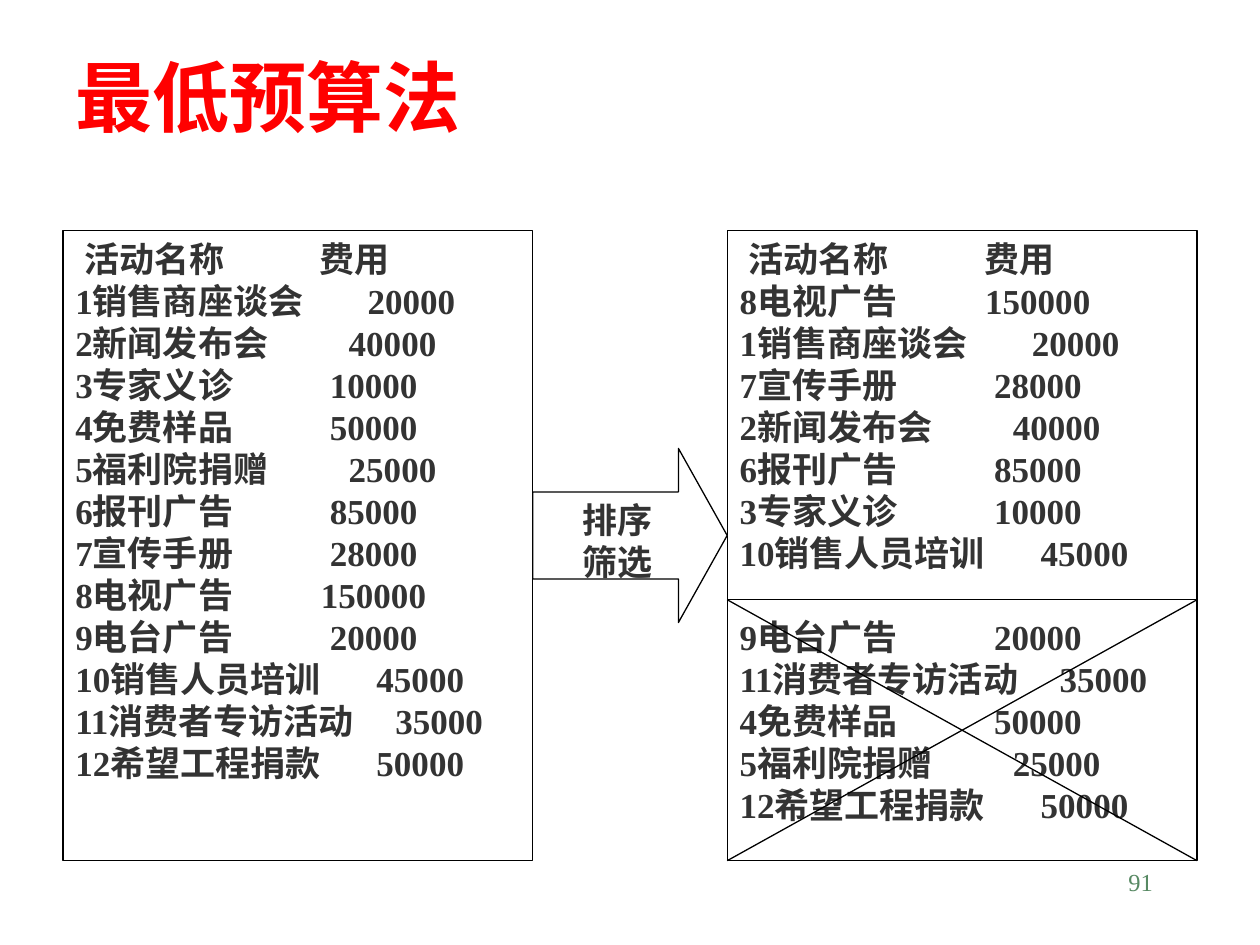
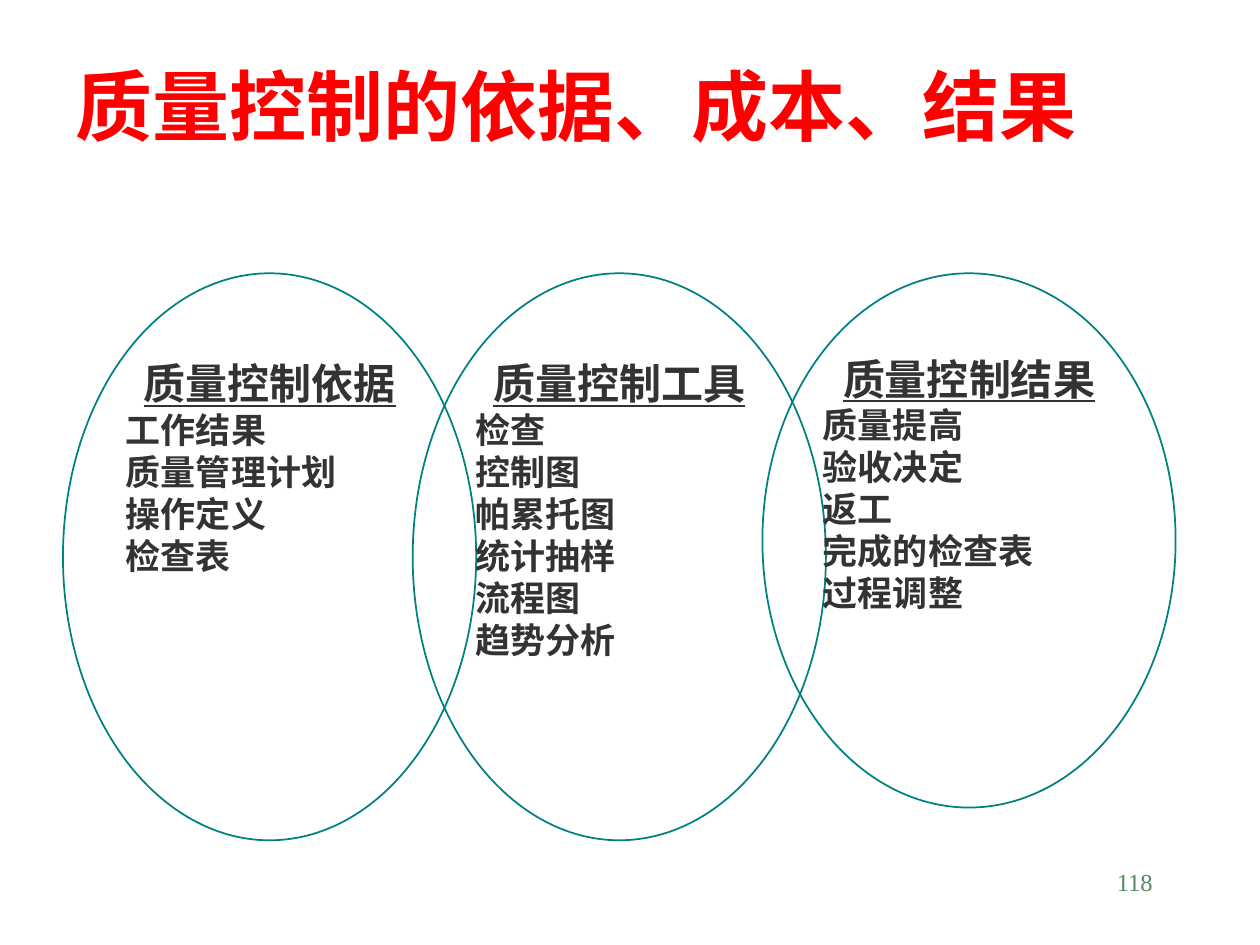
"""Build two slides: a minimum budget ranking and a quality control overview."""
from dataclasses import dataclass

from lxml import etree
from pptx import Presentation
from pptx import util as u
from pptx.dml.color import RGBColor
from pptx.enum import shapes, text
from pptx.oxml import ns


@dataclass(frozen=True)
class Theme:
    """Colours, fonts and type sizes of both slides."""
    title: str = "FF0000"
    body: str = "333333"
    number: str = "578963"
    outline: str = "000000"
    ring: str = "008080"
    paper: str = "FFFFFF"
    latin: str = "Times New Roman"
    chinese: str = "Noto Sans CJK SC"
    title_size: int = 44
    heading_size: int = 24
    body_size: int = 20
    number_size: int = 14
    leading: float = 1.2
    outline_width: float = 0.75
    ring_width: float = 1


@dataclass(frozen=True)
class Box:
    """A rectangle measured in centimetres."""
    left: float
    top: float
    width: float
    height: float

    @property
    def right(self) -> float:
        """Return the right edge."""
        return self.left + self.width

    @property
    def bottom(self) -> float:
        """Return the bottom edge."""
        return self.top + self.height

    def lengths(self) -> tuple:
        """Return position and size as slide lengths."""
        return tuple(u.Cm(value) for value in (self.left, self.top, self.width, self.height))


@dataclass(frozen=True)
class Line:
    """One paragraph with its format."""
    wording: str
    size: int
    color: str
    align: text.PP_ALIGN = text.PP_ALIGN.JUSTIFY
    bold: bool = True
    underline: bool = False
    tab: float = 0
    indent: float = 0
    before: float = 0


@dataclass(frozen=True)
class Activity:
    """A numbered activity and its cost."""
    name: str
    cost: int


@dataclass(frozen=True)
class Topic:
    """An ellipse with a heading and its items."""
    heading: str
    items: tuple
    height: float
    side_inset: float = 0.05


THEME = Theme()
STANDARD_INSETS = (0.25, 0.13)
TEXT_LEFT = 1.27

ACTIVITIES = dict(enumerate((
    Activity("销售商座谈会", 20000),
    Activity("新闻发布会", 40000),
    Activity("专家义诊", 10000),
    Activity("免费样品", 50000),
    Activity("福利院捐赠", 25000),
    Activity("报刊广告", 85000),
    Activity("宣传手册", 28000),
    Activity("电视广告", 150000),
    Activity("电台广告", 20000),
    Activity("销售人员培训", 45000),
    Activity("消费者专访活动", 35000),
    Activity("希望工程捐款", 50000),
), start=1))
KEPT = (8, 1, 7, 2, 6, 3, 10)
REJECTED = (9, 11, 4, 5, 12)

TOPICS = (
    Topic("质量控制依据", ("工作结果", "质量管理计划", "操作定义", "检查表"), 11.43),
    Topic("质量控制工具", ("检查", "控制图", "帕累托图", "统计抽样", "流程图", "趋势分析"), 11.43),
    Topic("质量控制结果", ("质量提高", "验收决定", "返工", "完成的检查表", "过程调整"), 10.77, 0),
)


def write_lines(shape, lines: list[Line], insets: tuple = STANDARD_INSETS,
                anchor: text.MSO_ANCHOR = text.MSO_ANCHOR.TOP) -> None:
    """Fill a shape with formatted paragraphs."""
    frame = shape.text_frame
    frame.word_wrap = True
    frame.vertical_anchor = anchor
    frame.margin_left = frame.margin_right = u.Cm(insets[0])
    frame.margin_top = frame.margin_bottom = u.Cm(insets[1])
    frame.text = "\n".join(line.wording for line in lines)
    for paragraph, line in zip(frame.paragraphs, lines):
        properties = paragraph._p.get_or_add_pPr()
        if line.indent:
            properties.set("marL", str(u.Cm(line.indent)))
        if line.tab:
            tabs = etree.SubElement(properties, ns.qn("a:tabLst"))
            etree.SubElement(tabs, ns.qn("a:tab"), pos=str(u.Cm(line.tab)), algn="l")
        paragraph.alignment = line.align
        paragraph.line_spacing = u.Pt(line.size * THEME.leading)
        if line.before:
            paragraph.space_before = u.Pt(line.before)
        for run in paragraph.runs:
            font = run.font
            font.size, font.bold, font.underline = u.Pt(line.size), line.bold, line.underline
            font.color.rgb = RGBColor.from_string(line.color)
            font.name = THEME.latin
            etree.SubElement(run._r.get_or_add_rPr(), ns.qn("a:ea"), typeface=THEME.chinese)


def add_outlined(slide, kind: shapes.MSO_SHAPE, box: Box, color: str, width: float,
                 filled: bool = True):
    """Add an outlined preset shape without shadow."""
    shape = slide.shapes.add_shape(kind, *box.lengths())
    shape.shadow.inherit = False
    if filled:
        shape.fill.solid()
        shape.fill.fore_color.rgb = RGBColor.from_string(THEME.paper)
    else:
        shape.fill.background()
    shape.line.color.rgb = RGBColor.from_string(color)
    shape.line.width = u.Pt(width)
    return shape


def add_rule(slide, start: tuple, end: tuple) -> None:
    """Draw a thin straight line between two points."""
    rule = slide.shapes.add_connector(shapes.MSO_CONNECTOR.STRAIGHT,
                                      *(u.Cm(value) for value in start + end))
    rule.line.color.rgb = RGBColor.from_string(THEME.outline)
    rule.line.width = u.Pt(THEME.outline_width)
    etree.SubElement(rule._element.spPr, ns.qn("a:effectLst"))


def add_frame(slide, title: str, title_top: float, number: int) -> None:
    """Add the title and the slide number."""
    heading = slide.shapes.add_textbox(*Box(TEXT_LEFT, title_top, 23.29, 1.7).lengths())
    write_lines(heading, [Line(title, THEME.title_size, THEME.title, text.PP_ALIGN.LEFT)],
                anchor=text.MSO_ANCHOR.MIDDLE)
    footer = slide.shapes.add_textbox(*Box(18.21, 17.35, 5.28, 1.27).lengths())
    write_lines(footer, [Line(str(number), THEME.number_size, THEME.number,
                              text.PP_ALIGN.RIGHT, bold=False)])


def activity_line(number: int, before: float = 0) -> Line:
    """Return an activity row whose cost follows the length of its name."""
    activity = ACTIVITIES[number]
    extra_digits = len(str(number)) - len(str(activity.cost)) + 4
    tab = 5.13 + 0.38 * (len(activity.name) - 4) + 0.18 * extra_digits
    return Line(f"{number}{activity.name}\t{activity.cost}", THEME.body_size, THEME.body,
                tab=tab, before=before)


def add_activity_list(slide, box: Box, rows: list[Line]) -> None:
    """Draw a framed list of activities under its column heads."""
    head = Line("活动名称\t费用", THEME.body_size, THEME.body, tab=4.75, indent=0.18)
    panel = add_outlined(slide, shapes.MSO_SHAPE.RECTANGLE, box,
                         THEME.outline, THEME.outline_width)
    write_lines(panel, [head, *rows])


def build_budget(slide) -> None:
    """Draw the full list, the sorting arrow and the ranked list."""
    full = Box(TEXT_LEFT, 4.65, 9.47, 12.7)
    ranked = Box(14.66, full.top, full.width, full.height)
    add_activity_list(slide, full, [activity_line(number) for number in ACTIVITIES])
    blank_line = THEME.body_size * THEME.leading
    rejected = [activity_line(number, blank_line if number == REJECTED[0] else 0)
                for number in REJECTED]
    add_activity_list(slide, ranked, [activity_line(number) for number in KEPT] + rejected)

    cut = 12.09
    add_rule(slide, (ranked.left, cut), (ranked.right, cut))
    add_rule(slide, (ranked.left, cut), (ranked.right, ranked.bottom))
    add_rule(slide, (ranked.right, cut), (ranked.left, ranked.bottom))

    arrow = add_outlined(slide, shapes.MSO_SHAPE.RIGHT_ARROW,
                         Box(full.right, 9.04, ranked.left - full.right, 3.51),
                         THEME.outline, THEME.outline_width)
    arrow.adjustments[1] = 0.28
    write_lines(arrow, [Line(step, THEME.body_size, THEME.body, text.PP_ALIGN.CENTER)
                        for step in ("排序", "筛选")])
    add_frame(slide, "最低预算法", 1.07, 91)


def build_quality(slide) -> None:
    """Draw the three overlapping quality control ellipses."""
    for index, topic in enumerate(TOPICS):
        ellipse = add_outlined(slide, shapes.MSO_SHAPE.OVAL,
                               Box(TEXT_LEFT + index * 7.05, 5.51, 8.33, topic.height),
                               THEME.ring, THEME.ring_width, filled=False)
        heading = Line(topic.heading, THEME.heading_size, THEME.body,
                       text.PP_ALIGN.CENTER, underline=True)
        items = [Line(item, THEME.body_size, THEME.body) for item in topic.items]
        write_lines(ellipse, [heading, *items], (topic.side_inset, 0.03))
    add_frame(slide, "质量控制的依据、成本、结果", 1.27, 118)


def main() -> None:
    """Build and save the presentation."""
    presentation = Presentation()
    presentation.slide_width, presentation.slide_height = u.Cm(25.4), u.Cm(19.05)
    for build in (build_budget, build_quality):
        build(presentation.slides.add_slide(presentation.slide_layouts[6]))
    presentation.save("out.pptx")


if __name__ == "__main__":
    main()
